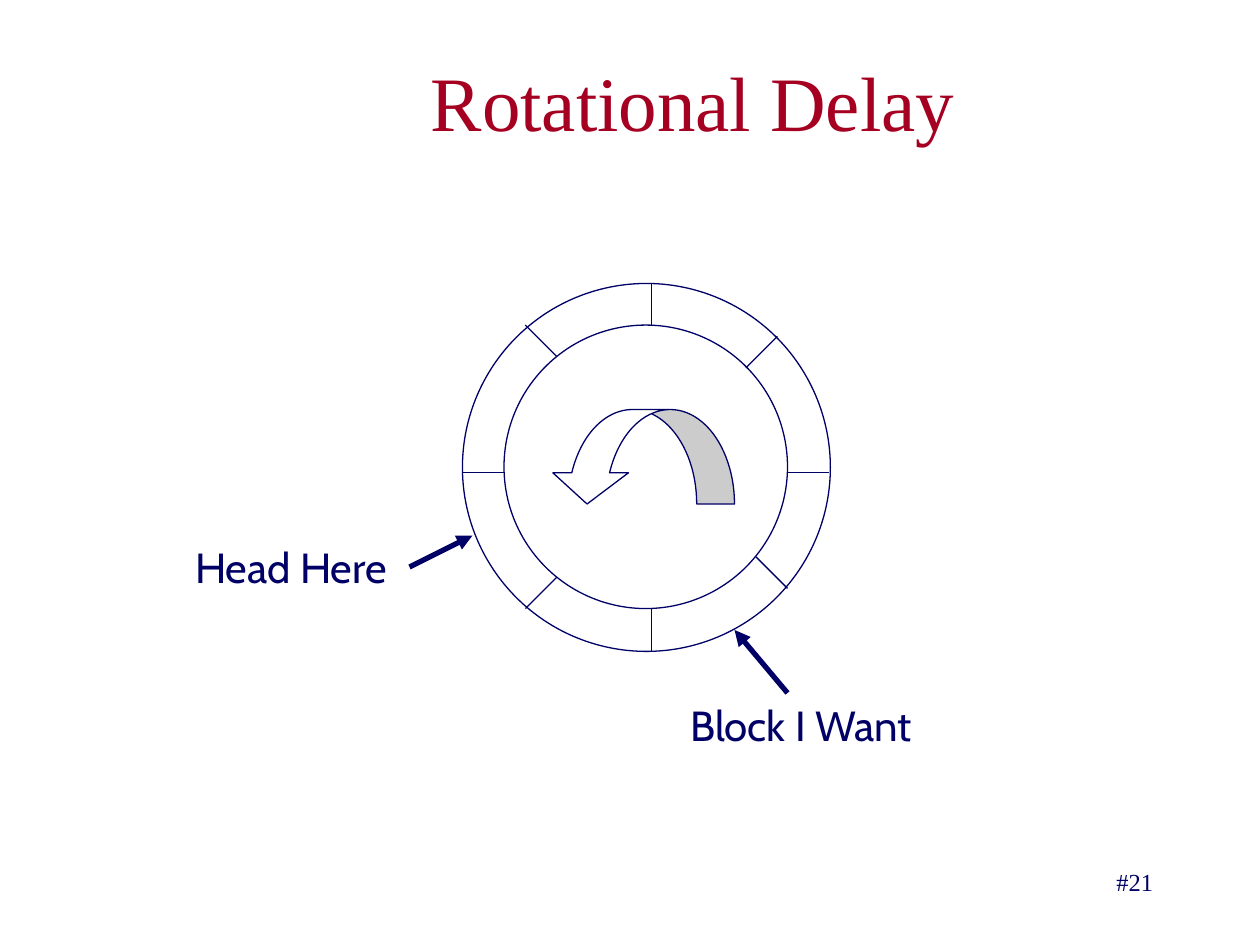
from pptx import Presentation
from pptx.dml.color import RGBColor
from pptx.enum.shapes import MSO_CONNECTOR as CONN, MSO_SHAPE as SHAPE
from pptx.enum.text import MSO_ANCHOR as ANCHOR, PP_ALIGN as ALIGN
from pptx.oxml.ns import qn
from pptx.util import Inches, Pt
from lxml.etree import SubElement

NAVY, RED, WHITE = "000066", "A50021", "FFFFFF"


def color(fmt, value):
    fmt.rgb = RGBColor.from_string(value)


def add_text(text, x, y, w, h, size=24, font="Cabin", fill=NAVY,
             align=ALIGN.LEFT, anchor=ANCHOR.TOP, wrap=True):
    tf = s.shapes.add_textbox(Inches(x), Inches(y), Inches(w), Inches(h)).text_frame
    tf.word_wrap = wrap
    tf.vertical_anchor = anchor
    p = tf.paragraphs[0]
    p.alignment = align
    r = p.add_run()
    r.text = text
    r.font.size = Pt(size)
    r.font.name = font
    color(r.font.color, fill)


prs = Presentation()
prs.slide_width, prs.slide_height = Inches(10), Inches(7.5)
s = prs.slides.add_slide(prs.slide_layouts[6])

# Title and slide number
add_text("Rotational Delay", 1.25, 0.17, 8.5, 1.25, size=44,
         font="Times New Roman", fill=RED, align=ALIGN.CENTER, anchor=ANCHOR.MIDDLE)
add_text("#21", 7.17, 6.83, 2.08, 0.5, size=14,
         font="Times New Roman", align=ALIGN.RIGHT)

# Disk track (outer and inner circle) and rotation arrow
disk = [
    (SHAPE.OVAL, 3.67, 2.25, 2.92, 2.92),
    (SHAPE.OVAL, 4, 2.58, 2.25, 2.25),
    (SHAPE.CURVED_DOWN_ARROW, 4.36, 3.25, 1.47, 0.75),
]
for kind, x, y, w, h in disk:
    sp = s.shapes.add_shape(kind, Inches(x), Inches(y), Inches(w), Inches(h))
    sp.shadow.inherit = False
    sp.fill.solid()
    color(sp.fill.fore_color, WHITE)
    color(sp.line.color, NAVY)
    sp.line.width = Pt(0.75)

# The arrow turns counter-clockwise: band, head width, head length
for i, value in enumerate((0.4, 0.8, 0.33)):
    sp.adjustments[i] = value
sp._element.spPr.find(qn("a:xfrm")).set("flipH", "1")

# Sector borders, then the two pointers
sectors = [
    (5.17, 2.25, 5.17, 2.58), (5.17, 4.83, 5.17, 5.17),
    (6.25, 3.75, 6.58, 3.75), (3.67, 3.75, 4, 3.75),
    (5.92, 2.92, 6.17, 2.67), (4.17, 4.83, 4.42, 4.58),
    (6, 4.42, 6.25, 4.67), (4.17, 2.58, 4.42, 2.83),
]
pointers = [(3.25, 4.5, 3.75, 4.25), (6.25, 5.5, 5.83, 5)]
for ends in sectors + pointers:
    line = s.shapes.add_connector(CONN.STRAIGHT, *map(Inches, ends))
    color(line.line.color, NAVY)
    line.line.width = Pt(3 if ends in pointers else 0.75)
    if ends in pointers:
        SubElement(line.line._get_or_add_ln(), qn("a:tailEnd"), type="triangle")
    SubElement(line._element.spPr, qn("a:effectLst"))

# Pointer labels
add_text("Head Here", 1.45, 4.25, 1.87, 0.5, wrap=False)
add_text("Block I Want", 5.38, 5.5, 2.15, 0.5, wrap=False)

prs.save("out.pptx")
